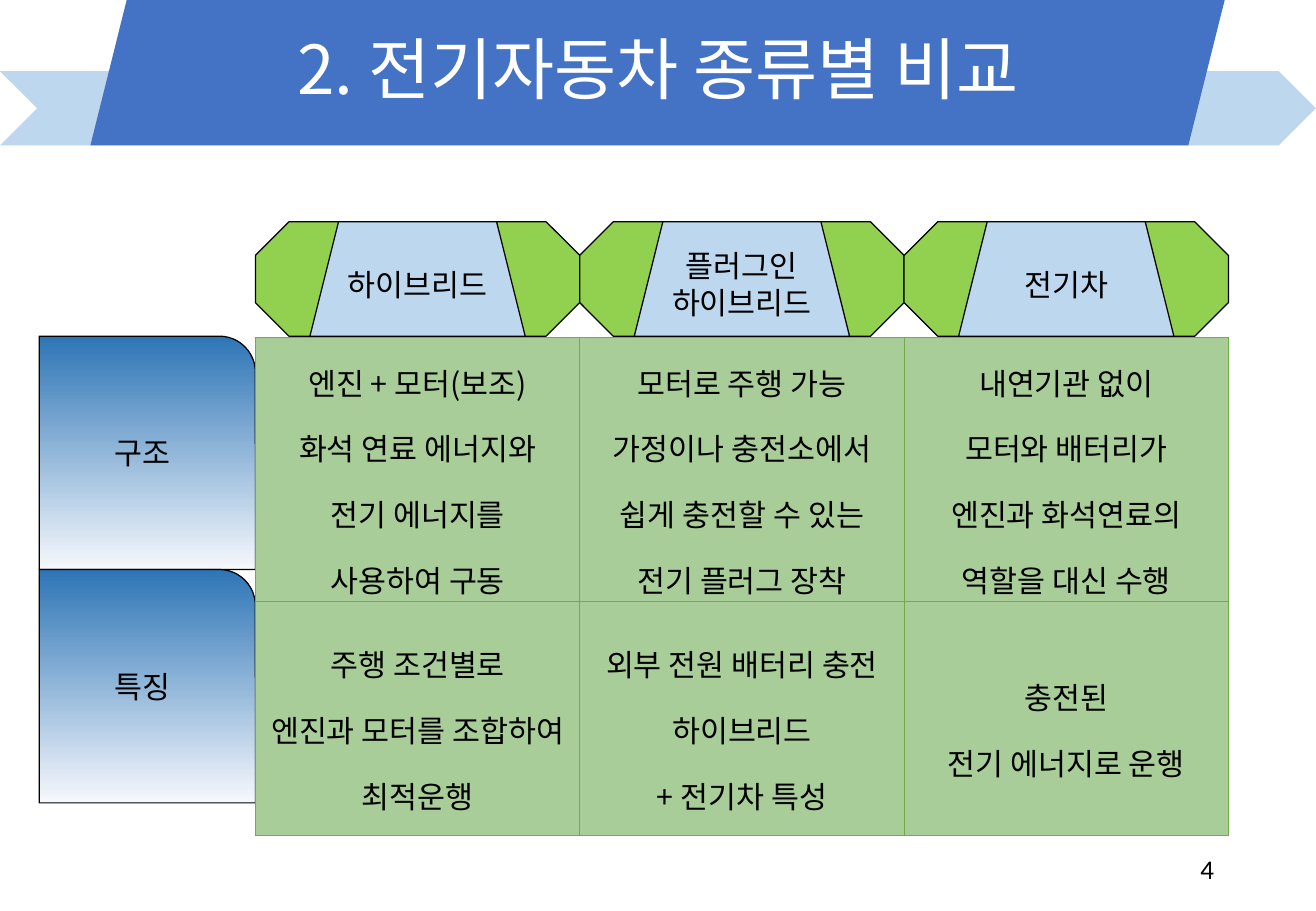
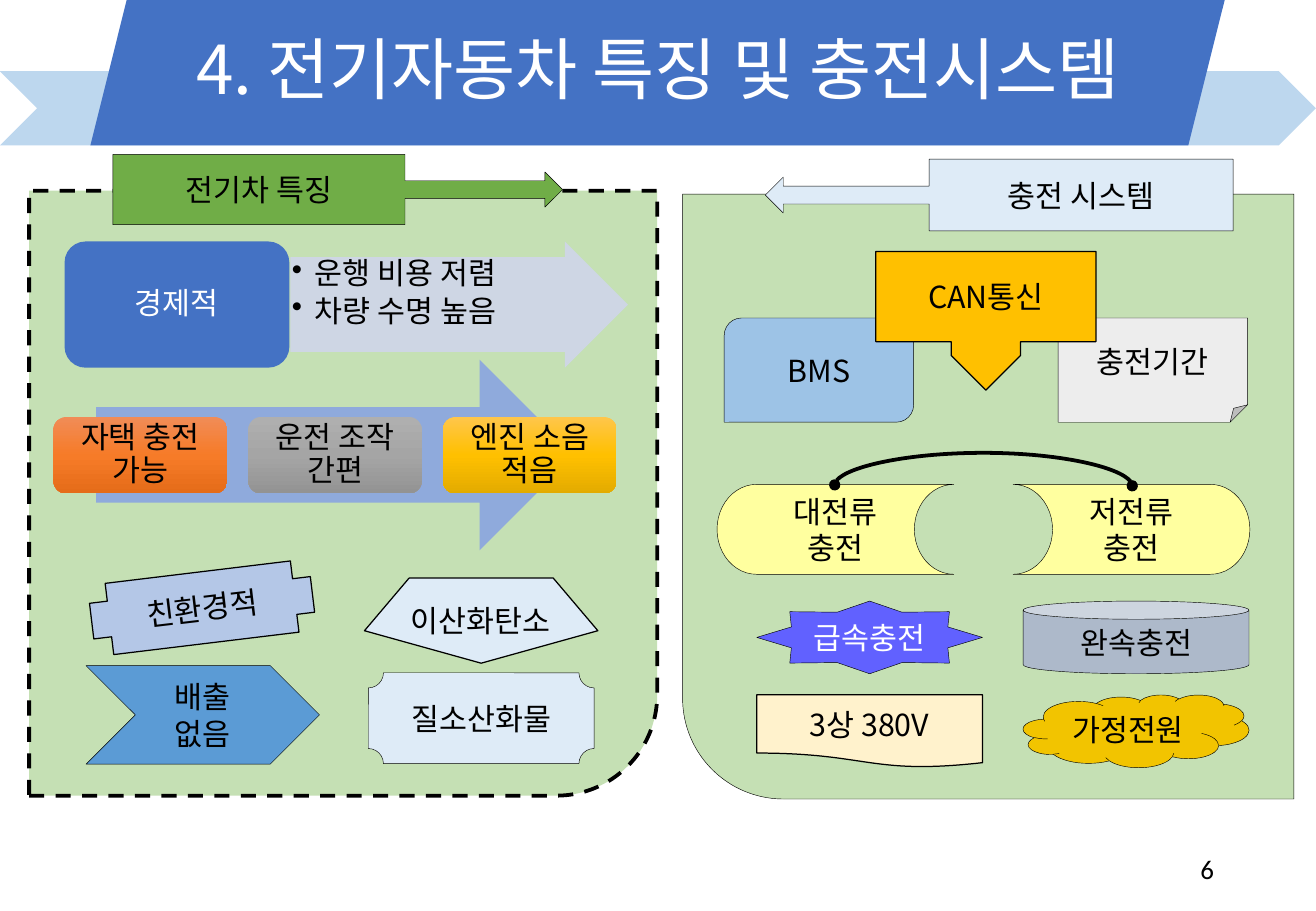
from lxml.etree import SubElement
from pptx import Presentation
from pptx.dml.color import RGBColor
from pptx.enum.dml import MSO_LINE
from pptx.enum.shapes import MSO_CONNECTOR, MSO_SHAPE as S
from pptx.enum.text import MSO_ANCHOR, MSO_AUTO_SIZE, PP_ALIGN
from pptx.oxml.ns import qn
from pptx.util import Cm, Pt

FONT = "Noto Sans CJK KR"
BLACK, WHITE, BLUE, PALE_BLUE = "000000", "FFFFFF", "4472C4", "BDD7EE"
LIGHT, PANEL, YELLOW = "DEEBF7", "C5E0B4", "FFFF9F"
CELL, BORDER = "A9CD99", "70AD47"
TITLE_BOX = (0, -0.02, 27.51, 3.07)
BANDS = [
    (S.CHEVRON, (0, 1.49, 27.51, 1.55), PALE_BLUE),
    (S.PARALLELOGRAM, (1.89, -0.03, 23.72, 3.07), BLUE),
]

ROW_HEADS = ["구조", "특징"]
COL_HEADS = ["하이브리드", "플러그인\n하이브리드", "전기차"]
ROW_HEIGHTS = [5.52, 4.88]
CELLS = [
    ["엔진 + 모터(보조)\n화석 연료 에너지와\n전기 에너지를\n사용하여 구동",
     "모터로 주행 가능\n가정이나 충전소에서\n쉽게 충전할 수 있는\n전기 플러그 장착",
     "내연기관 없이\n모터와 배터리가\n엔진과 화석연료의\n역할을 대신 수행"],
    ["주행 조건별로\n엔진과 모터를 조합하여\n최적운행",
     "외부 전원 배터리 충전\n하이브리드\n+ 전기차 특성",
     "충전된\n전기 에너지로 운행"],
]
HEAD_GRADIENT = [(0, "2E75B6"), (100, "F6F8FC")]

FEATURES = [
    (S.CHEVRON, "배출 없음", (1.8, 13.92, 4.88, 2.06), "5B9BD5", 0.25, {}),
    (S.RIGHT_ARROW_CALLOUT, "전기차 특징", (2.36, 3.23, 9.4, 1.47), "70AD47", 0.25, {}),
    (S.PLAQUE, "질소산화물", (7.7, 14.07, 4.72, 1.9), LIGHT, 0.25, {}),
    (S.RIGHT_ARROW, "", (2.01, 7.52, 10.01, 3.99), "8FAADC", 0, {}),
    (S.CROSS, "친환경적", (1.9, 11.96, 4.65, 1.5), "B4C7E7", 0.75, {"rotation": 353.1}),
    (S.REGULAR_PENTAGON, "", (7.62, 12.09, 4.88, 1.78), LIGHT, 0.75, {"flip": "HV"}),
]
CHIPS = [
    ("자택 충전 가능", [(0, "F18C57"), (50, "F67B28"), (100, "E56C19")]),
    ("운전 조작 간편", [(0, "AFAFAF"), (50, "A5A5A5"), (100, "939393")]),
    ("엔진 소음 적음", [(0, "FFC64B"), (50, "FFC000"), (100, "E3AB00")]),
]
BENEFITS = "운행 비용 저렴\n차량 수명 높음"
CHARGING = [
    (S.FLOWCHART_STORED_DATA, "대전류 충전", (14.99, 10.13, 4.95, 1.88), YELLOW, 0.25, {}),
    (S.FLOWCHART_STORED_DATA, "저전류 충전", (21.18, 10.13, 4.95, 1.88), YELLOW, 0.25,
     {"flip": "H"}),
    (S.RIGHT_ARROW_CALLOUT, "충전 시스템", (16, 3.33, 9.78, 1.5), LIGHT, 0.25, {"flip": "H"}),
    (S.CAN, "완속충전", (21.39, 12.57, 4.72, 1.52), "ADB9CA", 0.25, {}),
    (S.ROUND_2_DIAG_RECTANGLE, "BMS", (15.14, 6.65, 3.96, 2.18), "9DC3E6", 0.25, {}),
    (S.FOLDED_CORNER, "충전기간", (22.12, 6.65, 3.96, 2.18), "EDEDED", 0.25, {}),
    (S.CLOUD, "가정전원", (21.39, 14.53, 4.72, 1.52), "F2C400", 0.25, {}),
    (S.DOWN_ARROW_CALLOUT, "CAN통신", (18.31, 5.26, 4.6, 2.9), "FFC000", 0.75,
     {"adj": [0.5, 0.25, 0.25, 0.65]}),
    (S.STAR_8_POINT, "급속충전", (15.82, 12.57, 4.72, 1.52), "6161FF", 0.25, {"color": WHITE}),
    (S.FLOWCHART_DOCUMENT, "3상 380V", (15.82, 14.53, 4.72, 1.52), "FFF2CC", 0.75,
     {"flip": "H"}),
]


def rgb(value):
    return RGBColor.from_string(value)


def cm(box):
    return [Cm(v) for v in box]


def write(tf, text, size=18, color=BLACK, align=PP_ALIGN.CENTER, spacing=None,
          font=FONT, anchor=MSO_ANCHOR.MIDDLE):
    tf.text = text
    tf.word_wrap = True
    tf.vertical_anchor = anchor
    for p in tf.paragraphs:
        p.alignment = align
        if spacing:
            p.line_spacing = spacing
        for r in p.runs:
            r.font.size = Pt(size)
            r.font.color.rgb = rgb(color)
            r.font.name = font
            SubElement(r.font._element, qn("a:ea"), typeface=font)


def set_margins(tf, x, y):
    tf.margin_left = tf.margin_right = Cm(x)
    tf.margin_top = tf.margin_bottom = Cm(y)


def set_gradient(sp, stops):
    sp.fill.gradient()
    sp.fill.gradient_angle = 270
    gs_list = next(sp._element.iter(qn("a:gsLst")))
    gs_list.clear()
    for pos, color in stops:
        gs = SubElement(gs_list, qn("a:gs"), pos=str(pos * 1000))
        SubElement(gs, qn("a:srgbClr"), val=color)


def add_shape(s, kind, text, box, fill, line=0, flip="", rotation=0, adj=(), **style):
    sp = s.shapes.add_shape(kind, *cm(box))
    sp.shadow.inherit = False
    sp.rotation = rotation
    for axis in flip:
        sp._element.spPr.xfrm.set("flip" + axis, "1")
    for i, value in enumerate(adj):
        sp.adjustments[i] = value
    if isinstance(fill, list):
        set_gradient(sp, fill)
    else:
        sp.fill.solid()
        sp.fill.fore_color.rgb = rgb(fill)
    if line:
        sp.line.color.rgb = rgb(BLACK)
        sp.line.width = Pt(line)
    else:
        sp.line.fill.background()
    if text:
        write(sp.text_frame, text, **style)
    return sp


def add_all(s, items):
    for kind, text, box, fill, line, options in items:
        add_shape(s, kind, text, box, fill, line, **options)


def add_bands(s, layout):
    tree = layout.shapes.element
    for i, (kind, box, fill) in enumerate(BANDS):
        tree.insert(2 + i, add_shape(s, kind, "", box, fill)._element)


def add_slide(prs, title, number):
    s = prs.slides.add_slide(prs.slide_layouts[5])
    sp = s.shapes.title
    sp.left, sp.top, sp.width, sp.height = cm(TITLE_BOX)
    write(sp.text_frame, title, 40, WHITE, spacing=0.9)
    sp.text_frame.auto_size = MSO_AUTO_SIZE.NONE
    page = s.shapes.add_textbox(*cm((19.43, 17.65, 6.2, 1.02)))
    write(page.text_frame, number, 16, align=PP_ALIGN.RIGHT, font="Calibri")
    return s


def set_borders(cell):
    tc_pr = cell._tc.get_or_add_tcPr()
    for i, side in enumerate(("lnL", "lnR", "lnT", "lnB")):
        ln = tc_pr.makeelement(qn("a:" + side), {"w": str(Pt(0.5))})
        SubElement(SubElement(ln, qn("a:solidFill")), qn("a:srgbClr"), val=BORDER)
        tc_pr.insert(i, ln)


def build_comparison(s):
    col_w, head_h, left, top = 6.78, 4.88, 5.34, 7.03
    for i, text in enumerate(ROW_HEADS):
        add_shape(s, S.ROUND_1_RECTANGLE, text, (0.82, top + i * head_h, 4.52, head_h),
                  HEAD_GRADIENT, 0.75)
    for i, text in enumerate(COL_HEADS):
        x = left + i * col_w
        add_shape(s, S.OCTAGON, "", (x, 4.64, col_w, 2.39), "92D050", 0.75)
        add_shape(s, S.TRAPEZOID, text, (x + 1.14, 4.64, 4.5, 2.39), PALE_BLUE, 0.75)
    table = s.shapes.add_table(len(CELLS), len(COL_HEADS), *cm(
        (left, 7.06, col_w * len(COL_HEADS), sum(ROW_HEIGHTS)))).table
    table.first_row = table.horz_banding = False
    for row, height, texts in zip(table.rows, ROW_HEIGHTS, CELLS):
        row.height = Cm(height)
        for cell, text in zip(row.cells, texts):
            write(cell.text_frame, text, spacing=1.5)
            cell.vertical_anchor = MSO_ANCHOR.MIDDLE
            cell.margin_left = cell.margin_right = cell.margin_top = cell.margin_bottom = 0
            cell.fill.solid()
            cell.fill.fore_color.rgb = rgb(CELL)
            set_borders(cell)


def add_benefits(s):
    sp = add_shape(s, S.RIGHT_ARROW, BENEFITS, (6.07, 5.05, 7.06, 2.64), "CFD5EA",
                   adj=(0.75, 0.5), align=PP_ALIGN.LEFT, spacing=0.9, anchor=MSO_ANCHOR.TOP)
    color = next(sp._element.spPr.iter(qn("a:srgbClr")))
    SubElement(color, qn("a:alpha"), val="90000")
    set_margins(sp.text_frame, 0.03, 0.03)
    for p in sp.text_frame.paragraphs:
        p.space_after = Pt(2.7)
        p_pr = p._p.get_or_add_pPr()
        p_pr.set("marL", str(Cm(0.48)))
        p_pr.set("indent", str(-Cm(0.48)))
        SubElement(p_pr, qn("a:buChar"), char="•")
    sp = add_shape(s, S.ROUNDED_RECTANGLE, "경제적", (1.35, 5.05, 4.7, 2.64), BLUE,
                   color=WHITE, spacing=0.9)
    set_margins(sp.text_frame, 0.18, 0.1)


def add_arc(s):
    x, y, span, depth, rise = 20.56, 10.15, 6.22, 0.02, 0.67
    arc = s.shapes.add_connector(MSO_CONNECTOR.CURVE, *cm(
        (x + depth / 2, y - span / 2, x - depth / 2, y + span / 2)))
    arc.rotation = 270
    arc.line.color.rgb = rgb(BLACK)
    arc.line.width = Pt(2.25)
    sp_pr = arc._element.spPr
    guides = sp_pr.find(qn("a:prstGeom")).get_or_add_avLst()
    SubElement(guides, qn("a:gd"), name="adj1", fmla=f"val {-round(rise / depth * 100000)}")
    ln = arc.line._get_or_add_ln()
    for end in ("headEnd", "tailEnd"):
        SubElement(ln, qn("a:" + end), type="oval")
    SubElement(sp_pr, qn("a:effectLst"))


def build_charging(s):
    panel = add_shape(s, S.ROUND_1_RECTANGLE, "", (0.61, 3.99, 13.13, 12.65), PANEL, 2.25,
                      flip="V")
    panel.line.dash_style = MSO_LINE.DASH
    add_all(s, FEATURES)
    for i, (text, stops) in enumerate(CHIPS):
        sp = add_shape(s, S.ROUNDED_RECTANGLE, text, (1.12 + 4.07 * i, 8.72, 3.63, 1.6),
                       stops, spacing=0.9)
        set_margins(sp.text_frame, 0.18, 0.18)
    label = s.shapes.add_textbox(*cm((7.54, 12.47, 5, 1.02)))
    write(label.text_frame, "이산화탄소", anchor=MSO_ANCHOR.TOP)
    add_benefits(s)
    add_shape(s, S.ROUND_1_RECTANGLE, "", (14.27, 4.06, 12.78, 12.65), PANEL, 0.25, flip="HV")
    add_all(s, CHARGING)
    add_arc(s)


def main():
    prs = Presentation()
    prs.slide_width, prs.slide_height = Cm(27.51), Cm(19.05)
    s = add_slide(prs, "2. 전기자동차 종류별 비교", "4")
    add_bands(s, s.slide_layout)
    build_comparison(s)
    build_charging(add_slide(prs, "4. 전기자동차 특징 및 충전시스템", "6"))
    prs.save("out.pptx")


if __name__ == "__main__":
    main()
